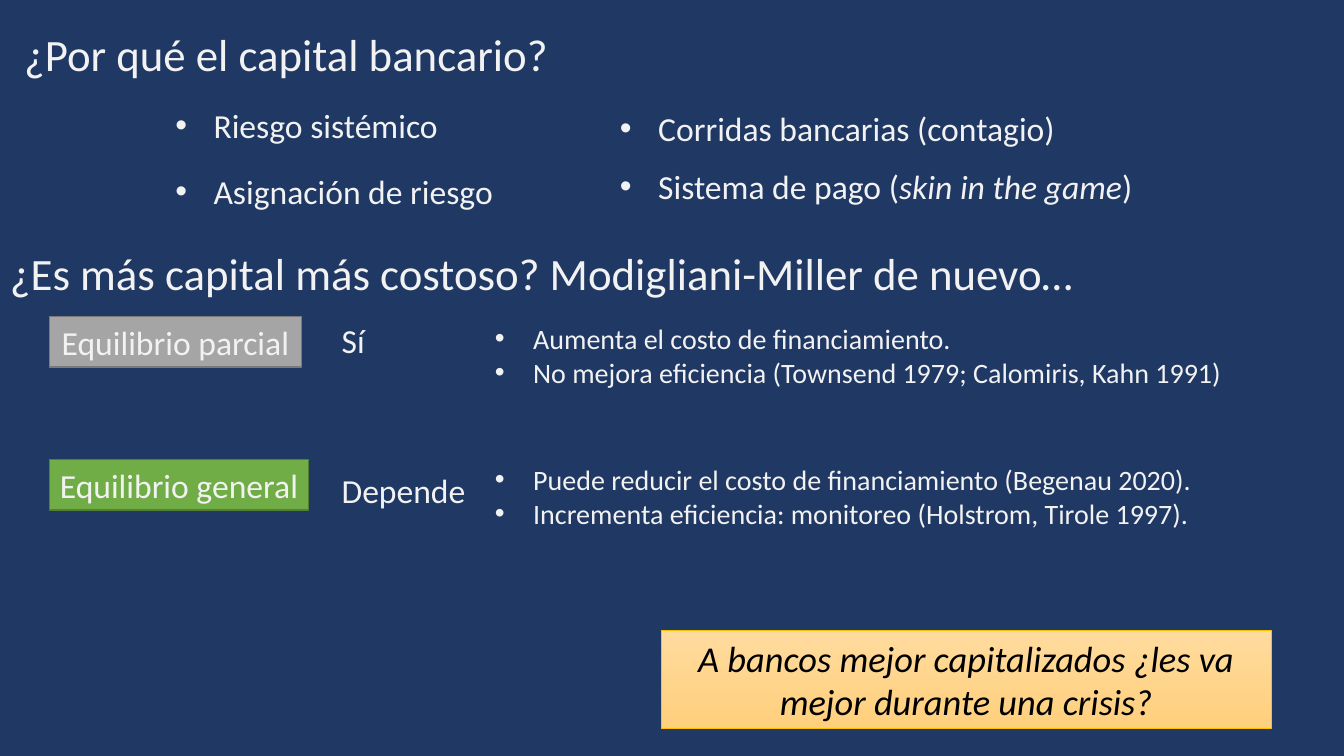
"""Build a slide on why bank capital matters and whether more of it is costly."""
from dataclasses import dataclass

from lxml import etree
from pptx import Presentation
from pptx import util as u
from pptx.dml import color
from pptx.enum import shapes, text
from pptx.oxml import ns


@dataclass(frozen=True)
class Theme:
    font: str = "Calibri"
    background: str = "203864"
    light: str = "F2F2F2"
    dark: str = "000000"
    gray: str = "A5A5A5"
    gray_edge: str = "7A7A7A"
    green: str = "70AD47"
    green_edge: str = "538035"
    gold_top: str = "FFDB9E"
    gold_bottom: str = "FFD07C"
    gold_edge: str = "FFC000"
    heading: int = 32
    closing: int = 26
    body: int = 24
    detail: int = 20
    hanging: float = 0.38


@dataclass(frozen=True)
class Run:
    words: str
    italic: bool = False


Lines = list[list[Run]]


@dataclass(frozen=True)
class Label:
    left: float
    top: float
    width: float
    height: float
    lines: Lines
    size: int
    bullets: bool = False
    wrap: bool = True


@dataclass(frozen=True)
class Panel:
    left: float
    top: float
    width: float
    height: float
    lines: Lines
    size: int
    ink: str
    fills: tuple[str, ...]
    edge: str
    edge_width: float = 1


THEME = Theme()
ROW = 0.5
REASONS_LEFT, CHANNELS_LEFT = 1.64, 6.05
PANEL_LEFT, ANSWER_LEFT, DETAIL_LEFT = 0.49, 3.29, 4.81


def plain(*sentences: str) -> Lines:
    return [[Run(sentence)] for sentence in sentences]


LABELS = [
    Label(0.14, 0.22, 5.46, 0.64, plain("¿Por qué el capital bancario?"), THEME.heading, wrap=False),
    Label(0, 2.39, 10.9, 0.64, plain("¿Es más capital más costoso? Modigliani-Miller de nuevo…"),
          THEME.heading, wrap=False),
    Label(REASONS_LEFT, 0.99, 3.96, ROW, plain("Riesgo sistémico"), THEME.body, bullets=True),
    Label(REASONS_LEFT, 1.65, 4.17, ROW, plain("Asignación de riesgo"), THEME.body, bullets=True),
    Label(CHANNELS_LEFT, 1.02, 5.43, ROW, plain("Corridas bancarias (contagio)"), THEME.body, bullets=True),
    Label(CHANNELS_LEFT, 1.6, 5.86, ROW,
          [[Run("Sistema de pago ("), Run("skin in the game", italic=True), Run(")")]],
          THEME.body, bullets=True),
    Label(ANSWER_LEFT, 3.12, 1.09, ROW, plain("Sí"), THEME.body),
    Label(ANSWER_LEFT, 4.61, 1.8, ROW, plain("Depende"), THEME.body),
    Label(DETAIL_LEFT, 3.14, 8.04, 0.77,
          plain("Aumenta el costo de financiamiento.",
                "No mejora eficiencia (Townsend 1979; Calomiris, Kahn 1991)"),
          THEME.detail, bullets=True),
    Label(DETAIL_LEFT, 4.54, 8.21, 0.77,
          plain("Puede reducir el costo de financiamiento (Begenau 2020).",
                "Incrementa eficiencia: monitoreo (Holstrom, Tirole 1997)."),
          THEME.detail, bullets=True),
]

PANELS = [
    Panel(PANEL_LEFT, 3.14, 2.5, ROW, plain("Equilibrio parcial"), THEME.body, THEME.light,
          (THEME.gray,), THEME.gray_edge),
    Panel(PANEL_LEFT, 4.56, 2.57, ROW, plain("Equilibrio general"), THEME.body, THEME.light,
          (THEME.green,), THEME.green_edge),
    Panel(6.56, 6.25, 6.05, 0.98,
          [[Run("A bancos mejor capitalizados ¿les va mejor durante una crisis?", italic=True)]],
          THEME.closing, THEME.dark, (THEME.gold_top, THEME.gold_bottom), THEME.gold_edge, 0.5),
]


def rgb(code: str) -> color.RGBColor:
    return color.RGBColor.from_string(code)


def frame_of(item: Label | Panel) -> list[int]:
    return [u.Inches(length) for length in (item.left, item.top, item.width, item.height)]


def add_bullet(paragraph) -> None:
    properties = paragraph._p.get_or_add_pPr()
    hanging = u.Inches(THEME.hanging)
    properties.set("marL", str(hanging))
    properties.set("indent", str(-hanging))
    etree.SubElement(properties, ns.qn("a:buFont")).set("typeface", "Arial")
    etree.SubElement(properties, ns.qn("a:buChar")).set("char", "•")


def write(frame, lines: Lines, size: int, ink: str, align: text.PP_ALIGN,
          bullets: bool = False, wrap: bool = True) -> None:
    frame.word_wrap = wrap
    frame.auto_size = text.MSO_AUTO_SIZE.SHAPE_TO_FIT_TEXT
    for index, line in enumerate(lines):
        paragraph = frame.add_paragraph() if index else frame.paragraphs[0]
        paragraph.alignment = align
        if bullets:
            add_bullet(paragraph)
        for part in line:
            run = paragraph.add_run()
            run.text = part.words
            run.font.name = THEME.font
            run.font.size = u.Pt(size)
            run.font.italic = part.italic
            run.font.color.rgb = rgb(ink)


def draw_label(slide, label: Label) -> None:
    box = slide.shapes.add_textbox(*frame_of(label))
    write(box.text_frame, label.lines, label.size, THEME.light, text.PP_ALIGN.LEFT,
          label.bullets, label.wrap)


def draw_panel(slide, panel: Panel) -> None:
    box = slide.shapes.add_shape(shapes.MSO_SHAPE.RECTANGLE, *frame_of(panel))
    box.shadow.inherit = False
    if len(panel.fills) == 1:
        box.fill.solid()
        box.fill.fore_color.rgb = rgb(panel.fills[0])
    else:
        box.fill.gradient()
        box.fill.gradient_angle = 270
        for stop, shade in zip(box.fill.gradient_stops, panel.fills):
            stop.color.rgb = rgb(shade)
    box.line.color.rgb = rgb(panel.edge)
    box.line.width = u.Pt(panel.edge_width)
    write(box.text_frame, panel.lines, panel.size, panel.ink, text.PP_ALIGN.CENTER)


def main() -> None:
    deck = Presentation()
    deck.slide_width, deck.slide_height = u.Inches(13.33), u.Inches(7.5)
    slide = deck.slides.add_slide(deck.slide_layouts[6])
    slide.background.fill.solid()
    slide.background.fill.fore_color.rgb = rgb(THEME.background)
    for label in LABELS:
        draw_label(slide, label)
    for panel in PANELS:
        draw_panel(slide, panel)
    deck.save("out.pptx")


if __name__ == "__main__":
    main()
